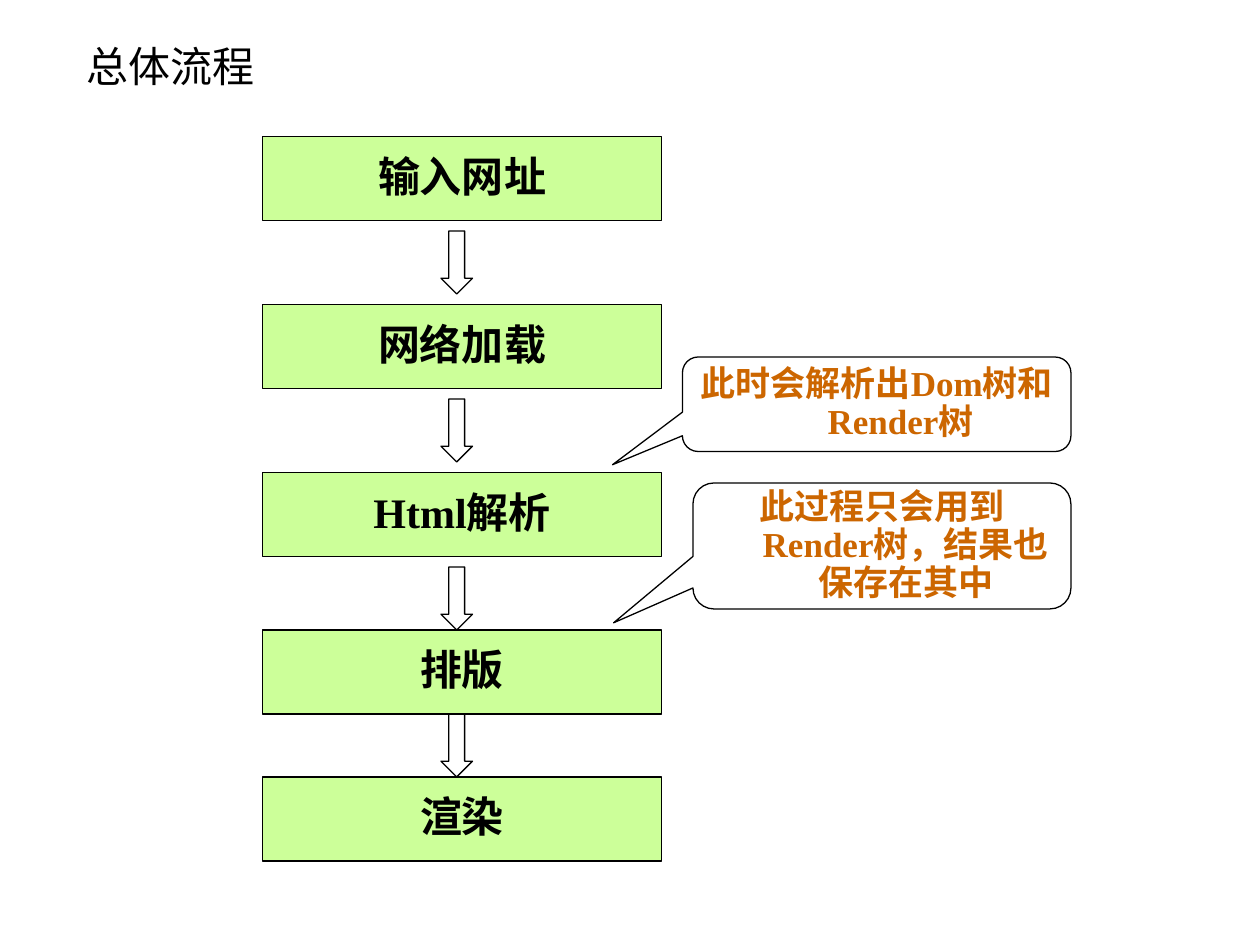
import dataclasses
import pptx
import pptx.dml.color
import pptx.enum.shapes
import pptx.enum.text
import pptx.oxml
import pptx.oxml.ns
import pptx.util

SHAPES = pptx.enum.shapes.MSO_SHAPE
ALIGN = pptx.enum.text.PP_ALIGN


@dataclasses.dataclass(frozen=True)
class Theme:
    ink: str = "000000"
    step_fill: str = "CCFF99"
    note_ink: str = "CC6600"
    latin: str = "Times New Roman"
    asian: str = "Noto Sans CJK SC"
    title_size: int = 24
    step_size: int = 24
    note_size: int = 20
    line_width: float = 0.75


THEME = Theme()
UNIT = pptx.util.Inches(1) // 12  # the page is a grid of 120 columns by 90 rows

# Each step: its label, its top row and the gap in rows before its arrow
STEPS = [("输入网址", 13, 1), ("网络加载", 29, 1), ("Html解析", 45, 1),
         ("排版", 60, 0), ("渲染", 74, None)]
STEP_ROWS = 8
ARROW_COLUMN, ARROW_COLUMNS, ARROW_ROWS = 42, 3, 6

# Each note: its text, its box on the grid and its pointer's offset
NOTES = [("此时会解析出Dom树和Render树", (65, 34, 37, 9), (-0.68, 0.64)),
         ("此过程只会用到Render树，结果也保存在其中", (66, 46, 36, 12), (-0.71, 0.61))]


def color(code):
    return pptx.dml.color.RGBColor.from_string(code)


def grid(box):
    return [round(cells * UNIT) for cells in box]


def write(shape, text, size, ink, latin, bold=False, wrap=True, align=ALIGN.CENTER):
    frame = shape.text_frame
    frame.word_wrap = wrap
    frame.vertical_anchor = pptx.enum.text.MSO_ANCHOR.MIDDLE
    para = frame.paragraphs[0]
    para.text = text
    para.alignment = align
    font = para.font
    font.size = pptx.util.Pt(size)
    font.bold = bold
    font.color.rgb = color(ink)
    font.name = latin
    # The Asian typeface goes on the runs, where it takes effect
    for span in para.runs:
        asian = pptx.oxml.parse_xml(
            f'<a:ea {pptx.oxml.ns.nsdecls("a")} typeface="{THEME.asian}"/>')
        span.font._element.append(asian)
    return para


def add_outlined(page, kind, box, fill=None):
    shape = page.shapes.add_shape(kind, *grid(box))
    shape.shadow.inherit = False
    if fill:
        shape.fill.solid()
        shape.fill.fore_color.rgb = color(fill)
    else:
        shape.fill.background()
    shape.line.color.rgb = color(THEME.ink)
    shape.line.width = pptx.util.Pt(THEME.line_width)
    return shape


def add_title(page, text, box):
    title = page.shapes.add_textbox(*grid(box))
    write(title, text, THEME.title_size, THEME.ink, THEME.asian, align=ALIGN.LEFT)


def add_flow(page, left, columns):
    # Step boxes
    for label, top, _ in STEPS:
        step = add_outlined(page, SHAPES.RECTANGLE, (left, top, columns, STEP_ROWS),
                            THEME.step_fill)
        para = write(step, label, THEME.step_size, THEME.ink, THEME.latin,
                     bold=True, wrap=False)
        para.line_spacing = 0.9
    # Arrows below every step but the last
    for _, top, gap in STEPS[:-1]:
        add_outlined(page, SHAPES.DOWN_ARROW,
                     (ARROW_COLUMN, top + STEP_ROWS + gap, ARROW_COLUMNS, ARROW_ROWS))


def add_note(page, text, box, pointer):
    note = add_outlined(page, SHAPES.ROUNDED_RECTANGULAR_CALLOUT, box)
    note.adjustments[0], note.adjustments[1] = pointer
    para = write(note, text, THEME.note_size, THEME.note_ink, THEME.latin, bold=True)
    para.line_spacing = 0.9
    # Hanging indent
    hang = pptx.util.Inches(0.38)
    properties = para._p.get_or_add_pPr()
    properties.set("marL", str(hang))
    properties.set("indent", str(-hang))


def main():
    deck = pptx.Presentation()
    deck.slide_width, deck.slide_height = 120 * UNIT, 90 * UNIT
    page = deck.slides.add_slide(deck.slide_layouts[6])
    add_title(page, "总体流程", (7.1, 2.5, 97.3, 7.5))
    add_flow(page, 25, 38)
    for text, box, pointer in NOTES:
        add_note(page, text, box, pointer)
    deck.save("out.pptx")


if __name__ == "__main__":
    main()
